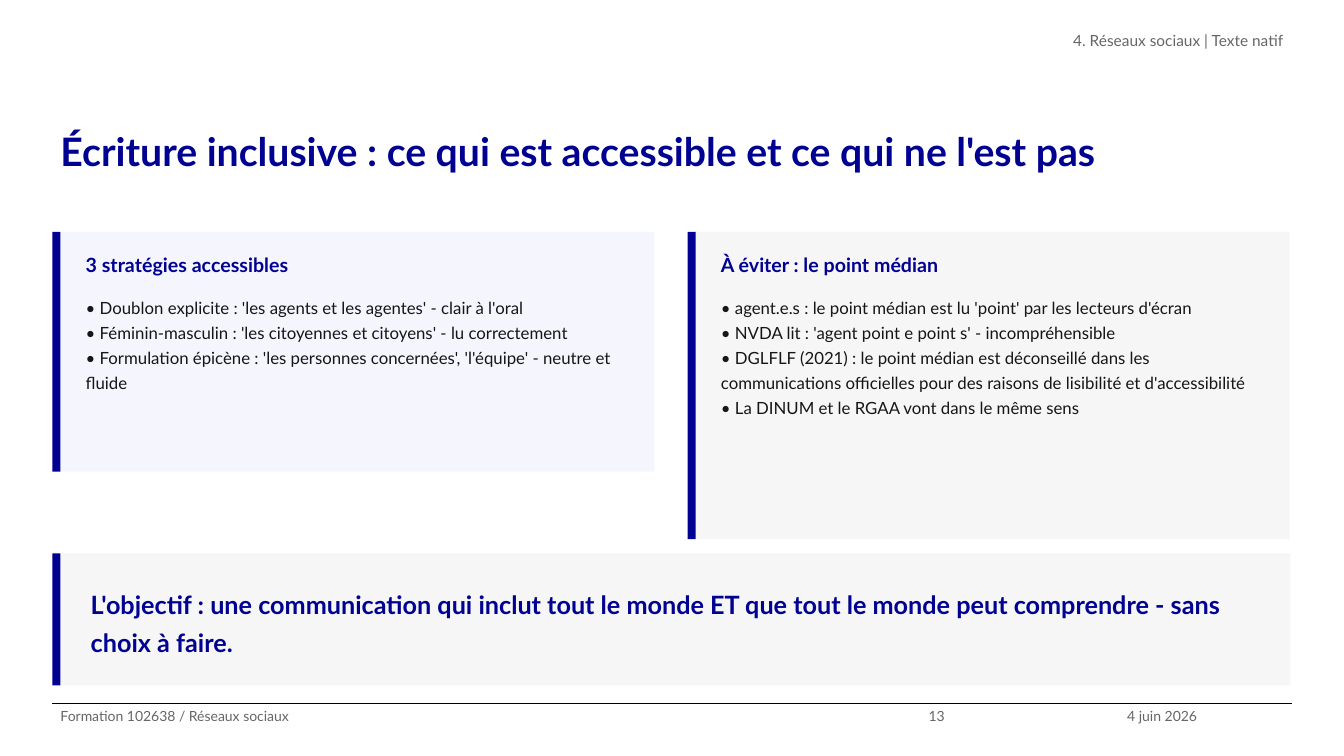
from lxml.etree import SubElement
from pptx import Presentation
from pptx.dml.color import RGBColor
from pptx.enum.shapes import MSO_CONNECTOR, MSO_SHAPE
from pptx.enum.text import MSO_ANCHOR, PP_ALIGN
from pptx.oxml.ns import qn
from pptx.util import Inches, Pt

NAVY = RGBColor(0x00, 0x00, 0x91)
INK = RGBColor(0x16, 0x16, 0x16)
GRAY = RGBColor(0x66, 0x66, 0x66)
BLACK = RGBColor(0x00, 0x00, 0x00)
LILAC = RGBColor(0xF5, 0xF5, 0xFE)
PALE = RGBColor(0xF6, 0xF6, 0xF6)

LEFT = 0.52
BAR = 0.08

prs = Presentation()
prs.slide_width = Inches(13.33)
prs.slide_height = Inches(7.5)
slide = prs.slides.add_slide(prs.slide_layouts[6])


def add_text(left, top, width, height, lines, size, color, bold=False,
             pad=0, align=PP_ALIGN.LEFT, anchor=MSO_ANCHOR.TOP):
    box = slide.shapes.add_textbox(
        Inches(left), Inches(top), Inches(width), Inches(height))
    frame = box.text_frame
    frame.word_wrap = True
    frame.vertical_anchor = anchor
    frame.margin_left = frame.margin_right = Inches(0.08)
    frame.margin_top = frame.margin_bottom = Inches(pad)
    for i, line in enumerate(lines):
        para = frame.add_paragraph() if i else frame.paragraphs[0]
        para.alignment = align
        para.line_spacing = 1.25
        run = para.add_run()
        run.text = line
        run.font.name = "Lato"
        run.font.size = Pt(size)
        run.font.bold = bold
        run.font.color.rgb = color


def add_panel(left, top, width, height, fill):
    """Draw a filled panel with a navy bar along its left edge."""
    for x, w, color in [(left + BAR, width - BAR, fill), (left, BAR, NAVY)]:
        rect = slide.shapes.add_shape(
            MSO_SHAPE.RECTANGLE,
            Inches(x), Inches(top), Inches(w), Inches(height))
        rect.shadow.inherit = False
        rect.fill.solid()
        rect.fill.fore_color.rgb = color
        rect.line.fill.background()


# Header and title
add_text(4.83, 0.26, 7.98, 0.52, ["4. Réseaux sociaux | Texte natif"],
         11, GRAY, align=PP_ALIGN.RIGHT)
add_text(LEFT, 1.15, 12.28, 1.05,
         ["Écriture inclusive : ce qui est accessible et ce qui ne l'est pas"],
         28, NAVY, bold=True)

# Two columns
cards = [
    (2.38, LILAC, "3 stratégies accessibles", [
        "• Doublon explicite : 'les agents et les agentes' - clair à l'oral",
        "• Féminin-masculin : 'les citoyennes et citoyens' - lu correctement",
        "• Formulation épicène : 'les personnes concernées', 'l'équipe'"
        " - neutre et fluide",
    ]),
    (3.05, PALE, "À éviter : le point médian", [
        "• agent.e.s : le point médian est lu 'point' par les lecteurs d'écran",
        "• NVDA lit : 'agent point e point s' - incompréhensible",
        "• DGLFLF (2021) : le point médian est déconseillé dans les"
        " communications officielles pour des raisons de lisibilité"
        " et d'accessibilité",
        "• La DINUM et le RGAA vont dans le même sens",
    ]),
]
for i, (height, fill, head, points) in enumerate(cards):
    left = LEFT + i * 6.3
    add_panel(left, 2.3, 5.97, height, fill)
    add_text(left + 0.25, 2.4, 5.62, 0.4, [head], 14, NAVY, bold=True, pad=0.05)
    add_text(left + 0.25, 2.85, 5.62, height - 0.65, points, 12, INK, pad=0.05)

# Key message
add_panel(LEFT, 5.49, 12.28, 1.31, PALE)
add_text(0.82, 5.59, 11.88, 1.11,
         ["L'objectif : une communication qui inclut tout le monde ET que tout"
          " le monde peut comprendre - sans choix à faire."],
         18, NAVY, bold=True, pad=0.05, anchor=MSO_ANCHOR.MIDDLE)

# Footer
rule = slide.shapes.add_connector(
    MSO_CONNECTOR.STRAIGHT,
    Inches(LEFT), Inches(6.98), Inches(12.81), Inches(6.98))
rule.line.color.rgb = BLACK
rule.line.width = Pt(0.8)
SubElement(rule._element.spPr, qn("a:effectLst"))
for left, width, text in [
    (LEFT, 8.61, "Formation 102638 / Réseaux sociaux"),
    (9.13, 1.97, "13"),
    (11.1, 1.71, "4 juin 2026"),
]:
    add_text(left, 6.98, width, 0.52, [text], 10, GRAY)

prs.save("out.pptx")
